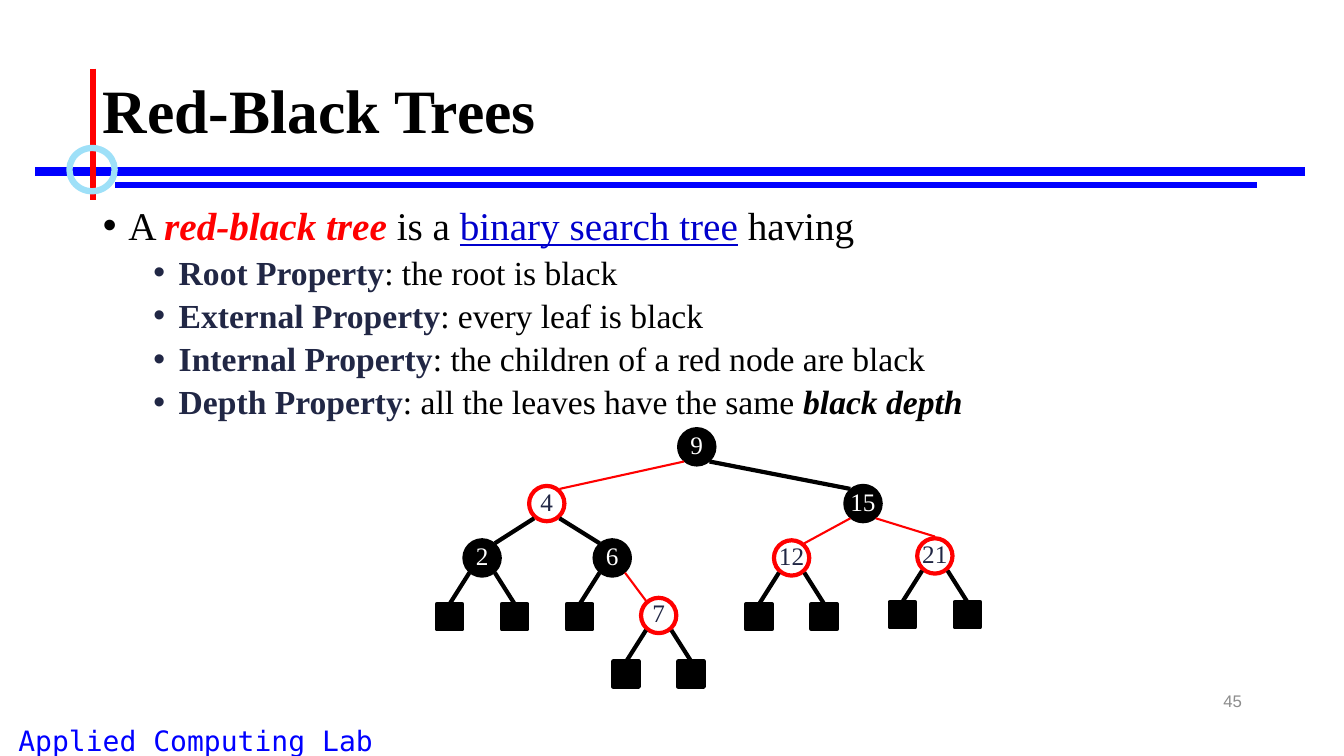
import dataclasses

import lxml.etree
import pptx
import pptx.dml.color
import pptx.enum.shapes
import pptx.enum.text
import pptx.oxml.ns
import pptx.util

Cm, Pt = pptx.util.Cm, pptx.util.Pt
ALIGN, ANCHOR = pptx.enum.text.PP_ALIGN, pptx.enum.text.MSO_ANCHOR
SHAPE = pptx.enum.shapes.MSO_SHAPE
qn = pptx.oxml.ns.qn


@dataclasses.dataclass(frozen=True)
class Theme:
    serif: str = "Times New Roman"
    sans: str = "Arial"
    mono: str = "DejaVu Sans Mono"
    black: str = "000000"
    white: str = "FFFFFF"
    red: str = "FF0000"
    blue: str = "0000FF"
    link: str = "0000CC"
    navy: str = "212745"
    sky: str = "9EE0F8"
    gray: str = "8C8C8C"
    title_size: float = 44
    body_size: float = 28
    sub_size: float = 24
    lab_size: float = 20
    key_size: float = 18
    number_size: float = 12
    thick: float = 3
    thin: float = 1.5


class SlideBuilder:
    def __init__(self, deck, theme):
        self.theme = theme
        self.slide = deck.slides.add_slide(deck.slide_layouts[1])
        self.shapes = self.slide.shapes

    def color(self, value):
        return pptx.dml.color.RGBColor.from_string(value)

    def run(self, paragraph, text, size, color, font=None, bold=False,
            italic=False, underline=False):
        run = paragraph.add_run()
        run.text = text
        run.font.name = font or self.theme.serif
        run.font.size = Pt(size)
        run.font.color.rgb = self.color(color)
        run.font.bold, run.font.italic = bold, italic
        run.font.underline = underline

    def place(self, holder, left, top, width, height, anchor):
        holder.left, holder.top = Cm(left), Cm(top)
        holder.width, holder.height = Cm(width), Cm(height)
        frame = holder.text_frame
        frame.auto_size = pptx.enum.text.MSO_AUTO_SIZE.NONE
        frame.vertical_anchor = anchor
        return frame

    def title(self, text, *box):
        frame = self.place(self.shapes.title, *box, ANCHOR.MIDDLE)
        heading = frame.paragraphs[0]
        heading.alignment, heading.line_spacing = ALIGN.LEFT, 0.9
        self.run(heading, text, self.theme.title_size, self.theme.black, bold=True)

    def bullets(self, items, *box):
        frame = self.place(self.slide.placeholders[1], *box, ANCHOR.TOP)
        for index, (level, pieces) in enumerate(items):
            item = frame.add_paragraph() if index else frame.paragraphs[0]
            item.level, item.line_spacing = level, 0.9
            item.space_before = Pt(5 if index else 0)
            properties = item._p.get_or_add_pPr()
            properties.set("marL", str(Cm(0.64 + 1.27 * level)))
            properties.set("indent", str(Cm(-0.64)))
            lxml.etree.SubElement(properties, qn("a:buChar")).set("char", "•")
            size = self.theme.sub_size if level else self.theme.body_size
            for text, color, style in pieces:
                self.run(item, text, size, color, **style)

    def label(self, text, size, color, font, align, *box):
        frame = self.place(self.shapes.add_textbox(0, 0, 0, 0), *box, ANCHOR.MIDDLE)
        frame.word_wrap = True
        frame.paragraphs[0].alignment = align
        self.run(frame.paragraphs[0], text, size, color, font)

    def line(self, x1, y1, x2, y2, color, weight):
        line = self.shapes.add_connector(
            pptx.enum.shapes.MSO_CONNECTOR.STRAIGHT, Cm(x1), Cm(y1), Cm(x2), Cm(y2))
        line.line.color.rgb = self.color(color)
        line.line.width = Pt(weight)
        lxml.etree.SubElement(line._element.spPr, qn("a:effectLst"))
        return line

    def shape(self, kind, left, top, width, height, fill, border, weight):
        shape = self.shapes.add_shape(kind, Cm(left), Cm(top), Cm(width), Cm(height))
        shape.shadow.inherit = False
        if fill:
            shape.fill.solid()
            shape.fill.fore_color.rgb = self.color(fill)
        else:
            shape.fill.background()
        shape.line.color.rgb = self.color(border)
        shape.line.width = Pt(weight)
        return shape

    def node(self, key, x, y, is_red):
        theme, size = self.theme, 0.89
        fill, border = (None, theme.red) if is_red else (theme.black, theme.black)
        circle = self.shape(SHAPE.OVAL, x - size / 2, y - size / 2, size, size,
                            fill, border, theme.thick)
        frame = circle.text_frame
        frame.margin_left = frame.margin_right = frame.margin_top = 0
        frame.margin_bottom = Cm(0.13)
        frame.word_wrap = False
        frame.vertical_anchor = ANCHOR.MIDDLE
        frame.paragraphs[0].alignment = ALIGN.CENTER
        self.run(frame.paragraphs[0], str(key), theme.key_size,
                 theme.navy if is_red else theme.white)

    def leaf(self, x, y, side):
        theme, size = self.theme, 0.64
        square = self.shape(SHAPE.RECTANGLE, x + side * 0.82 - size / 2, y + 1.16,
                            size, size, theme.black, theme.black, theme.thick)
        edge = self.line(x + side * EXIT_X, y + EXIT_Y, x + side * 0.82, y + 1.16,
                         theme.black, theme.thick)
        edge.end_connect(square, 0)


# Where edges leave a node, measured from its centre
EXIT_X, EXIT_Y = 0.32, 0.37

# Tree: key -> (parent, centre x, centre y, is red)
TREE = {
    9: (None, 17.56, 11.26, False),
    4: (9, 13.78, 12.69, True),
    15: (9, 21.75, 12.69, False),
    2: (4, 12.15, 14.06, False),
    6: (4, 15.43, 14.06, False),
    12: (15, 19.95, 14.06, True),
    21: (15, 23.56, 14.01, True),
    7: (6, 16.6, 15.51, True),
}
# Keys whose edge arrives at the top instead of the shoulder
TOP_ENTRY = {21}
# Sides on which external nodes hang: -1 left, 1 right
LEAVES = {2: (-1, 1), 6: (-1,), 7: (-1, 1), 12: (-1, 1), 21: (-1, 1)}


def main():
    theme = Theme()
    deck = pptx.Presentation()
    deck.slide_width, deck.slide_height = Cm(33.87), Cm(19.05)
    page = SlideBuilder(deck, theme)

    # Lab name and title ornament
    page.label("Applied Computing Lab", theme.lab_size, theme.blue, theme.mono,
               ALIGN.CENTER, -1.47, 18.11, 12.8, 1.09)
    page.line(0.89, 4.32, 32.89, 4.32, theme.blue, 6)
    page.line(2.9, 4.67, 31.67, 4.67, theme.blue, 4.5)
    page.line(2.34, 1.73, 2.34, 5.05, theme.red, 4.5)
    page.shape(SHAPE.OVAL, 1.75, 3.73, 1.14, 1.09, None, theme.sky, 4.5)

    # Title and properties
    page.title("Red-Black Trees", 2.34, 1.02, 29.21, 3.68)
    bold, strong = {"bold": True}, {"bold": True, "italic": True}
    definition = [
        ("A ", theme.black, {}),
        ("red-black tree ", theme.red, strong),
        ("is a ", theme.black, {}),
        ("binary search tree", theme.link, {"underline": True}),
        (" having", theme.black, {}),
    ]
    rules = [
        ("Root", "the root is black", ""),
        ("External", "every leaf is black", ""),
        ("Internal", "the children of a red node are black", ""),
        ("Depth", "all the leaves have the same ", "black depth"),
    ]
    items = [(0, definition)]
    for name, rule, term in rules:
        pieces = [(f"{name} Property", theme.navy, bold), (f": {rule}", theme.black, {})]
        if term:
            pieces.append((term, theme.black, strong))
        items.append((1, pieces))
    page.bullets(items, 2.34, 5.08, 29.21, 12.09)

    # Slide number
    page.label("45", theme.number_size, theme.gray, theme.sans,
               ALIGN.RIGHT, 23.93, 17.15, 7.62, 1.02)

    # Tree: edges, nodes and leaves
    for key, (parent, x, y, is_red) in TREE.items():
        if parent:
            _, parent_x, parent_y, _ = TREE[parent]
            side = 1 if x > parent_x else -1
            entry = (x, y - 0.49) if key in TOP_ENTRY else (x - side * EXIT_X, y - EXIT_Y)
            page.line(parent_x + side * EXIT_X, parent_y + EXIT_Y, *entry,
                      theme.red if is_red else theme.black,
                      theme.thin if is_red else theme.thick)
        page.node(key, x, y, is_red)
        for side in LEAVES.get(key, ()):
            page.leaf(x, y, side)

    deck.save("out.pptx")


if __name__ == "__main__":
    main()
